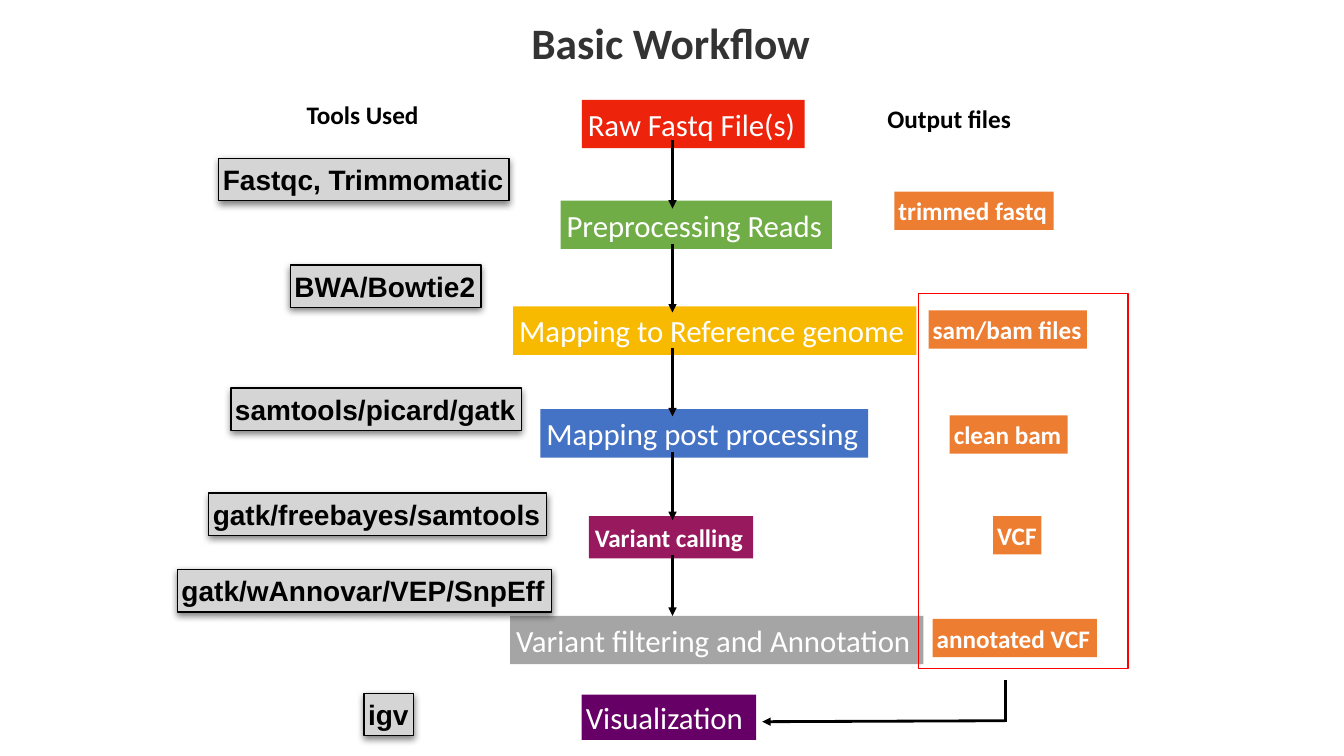
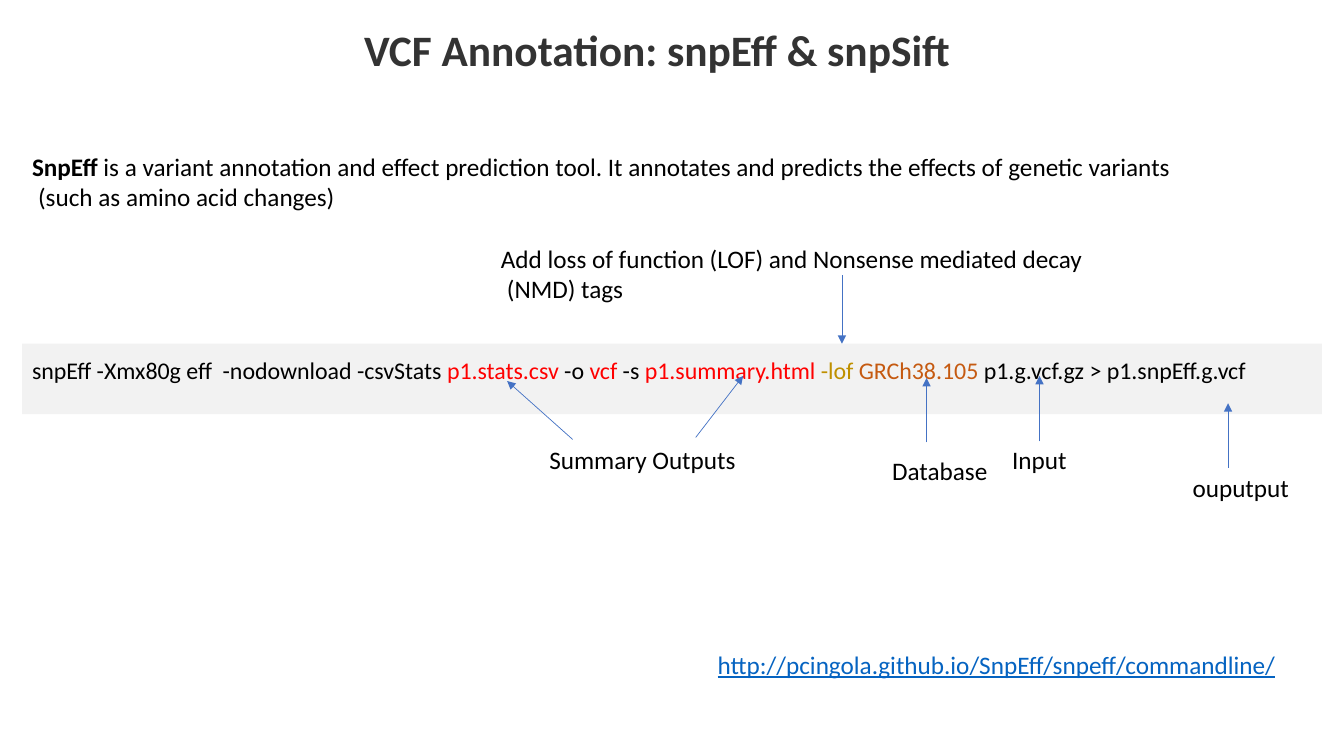
import pptx
import pptx.util
import pptx.dml.color
import pptx.enum.shapes
import pptx.enum.text
import pptx.oxml.ns
import lxml.etree

Rgb = pptx.dml.color.RGBColor
BLACK = Rgb(0x00, 0x00, 0x00)
WHITE = Rgb(0xFF, 0xFF, 0xFF)
DARK = Rgb(0x33, 0x33, 0x33)
SCARLET = Rgb(0xEE, 0x23, 0x0C)
GOLD = Rgb(0xF7, 0xBA, 0x01)
GREEN = Rgb(0x70, 0xAD, 0x47)
BLUE = Rgb(0x44, 0x72, 0xC4)
PLUM = Rgb(0x99, 0x19, 0x5E)
GRAY = Rgb(0xA5, 0xA5, 0xA5)
PURPLE = Rgb(0x66, 0x00, 0x66)
SILVER = Rgb(0xD6, 0xD5, 0xD5)
ORANGE = Rgb(0xED, 0x7D, 0x31)
RED = Rgb(0xFF, 0x00, 0x00)
PALE = Rgb(0xF2, 0xF2, 0xF2)
OLIVE = Rgb(0xBF, 0x90, 0x00)
RUST = Rgb(0xC5, 0x5A, 0x11)
LINK = Rgb(0x05, 0x63, 0xC1)

SCALE = 9144  # EMU in one px, 100 px to the inch
SHAPE = pptx.enum.shapes.MSO_SHAPE.RECTANGLE
LINE = pptx.enum.shapes.MSO_CONNECTOR.STRAIGHT
MIDDLE = pptx.enum.text.MSO_ANCHOR.MIDDLE
TOP = pptx.enum.text.MSO_ANCHOR.TOP
GROW = pptx.enum.text.MSO_AUTO_SIZE.SHAPE_TO_FIT_TEXT
FIXED = pptx.enum.text.MSO_AUTO_SIZE.NONE
LEFT = pptx.enum.text.PP_ALIGN.LEFT


def px(*values):
    return [value * SCALE for value in values]


def add(parent, tag, **values):
    """Append a DrawingML element with the given attributes."""
    child = lxml.etree.SubElement(parent, pptx.oxml.ns.qn("a:" + tag))
    for key, value in values.items():
        child.set(key, str(value))
    return child


class Deck:
    STYLES = {
        "title": dict(size=31, bold=True, color=DARK),
        "step": dict(size=22, color=WHITE),
        "call": dict(size=18, bold=True, color=WHITE),
        "tool": dict(size=20, bold=True, color=BLACK, name="Arial"),
        "head": dict(size=18, bold=True, color=BLACK),
        "note": dict(size=18, color=BLACK),
        "link": dict(size=18, color=LINK, underline=True),
        "code": dict(size=17.1, color=BLACK),
    }

    def __init__(self):
        self.show = pptx.Presentation()
        self.show.slide_width, self.show.slide_height = px(1333, 750)
        self.slide = None

    def page(self, title, box):
        self.slide = self.show.slides.add_slide(self.show.slide_layouts[6])
        self.text(box, title, "title", inset=4, anchor=MIDDLE)

    def style(self, font, kind, **extra):
        values = {"name": "Calibri", **self.STYLES[kind], **extra}
        font.color.rgb = values.pop("color")
        values["size"] = pptx.util.Pt(values["size"])
        for key, value in values.items():
            setattr(font, key, value)

    def fill(self, shape, lines, kind, inset, anchor, wrap=False, grow=True):
        """Put lines in a shape; a line is a string or a list of (text, extra)."""
        frame = shape.text_frame
        side, = px(inset)
        values = dict(margin_left=side, margin_right=side, margin_top=side,
                      margin_bottom=side, vertical_anchor=anchor,
                      word_wrap=wrap, auto_size=GROW if grow else FIXED)
        for key, value in values.items():
            setattr(frame, key, value)
        for row, line in enumerate([lines] if isinstance(lines, str) else lines):
            para = frame.add_paragraph() if row else frame.paragraphs[0]
            para.alignment = LEFT
            for words, extra in [(line, {})] if isinstance(line, str) else line:
                run = para.add_run()
                run.text = words
                self.style(run.font, kind, **extra)
        return frame

    def text(self, box, lines, kind="note", inset=10, anchor=TOP, wrap=False):
        shape = self.slide.shapes.add_textbox(*px(*box))
        frame = self.fill(shape, lines, kind, inset, anchor, wrap)
        if inset == 10:
            frame.margin_top = frame.margin_bottom = 5 * SCALE
        for para in frame.paragraphs[1:]:
            para._p.get_or_add_pPr().set("marL", str(6 * SCALE))

    def block(self, box, fill=None, edge=None):
        shape = self.slide.shapes.add_shape(SHAPE, *px(*box))
        shape.shadow.inherit = False
        if fill is None:
            shape.fill.background()
        else:
            shape.fill.solid()
            shape.fill.fore_color.rgb = fill
        if edge is None:
            shape.line.fill.background()
        else:
            shape.line.color.rgb = edge
            shape.line.width = pptx.util.Pt(1)
        return shape

    def label(self, box, words, fill, kind, inset=4, wrap=False):
        self.fill(self.block(box, fill), words, kind, inset, MIDDLE, wrap)

    def tool(self, box, words):
        """Silver box with a thin edge and a soft shadow below it."""
        shape = self.block(box, SILVER, BLACK)
        self.fill(shape, words, "tool", 4, MIDDLE)
        glow = shape._element.spPr.find(pptx.oxml.ns.qn("a:effectLst"))
        cast = add(glow, "outerShdw", blurRad=63500, dist=25400, dir=5400000,
                   rotWithShape=0)
        add(add(cast, "srgbClr", val="000000"), "alpha", val=50000)

    def line(self, start, end, color=BLACK, width=2, arrow=True):
        link = self.slide.shapes.add_connector(LINE, *px(*start, *end))
        link.line.color.rgb = color
        link.line.width = pptx.util.Pt(width)
        if arrow:
            edge = link._element.spPr.find(pptx.oxml.ns.qn("a:ln"))
            add(edge, "tailEnd", type="triangle")
        add(link._element.spPr, "effectLst")


def flow(deck):
    deck.page("Basic Workflow", (523, 12, 288, 60))
    for box, words, fill, kind in (
        ((577, 99, 221, 48), "Raw Fastq File(s)", SCARLET, "step"),
        ((509, 304, 400, 48), "Mapping to Reference genome", GOLD, "step"),
        ((556, 199, 269, 48), "Preprocessing Reads", GREEN, "step"),
        ((536, 406, 325, 48), "Mapping post processing", BLUE, "step"),
        ((584, 512, 163, 42), "Variant calling", PLUM, "call"),
        ((506, 611, 410, 48), "Variant filtering and Annotation", GRAY, "step"),
    ):
        deck.label(box, words, fill, kind, inset=6)
    for top in range(139, 552, 103):
        deck.line((667, top), (667, min(top + 68, 611)))

    for left, top, width, words in (
        (217, 157, 288, "Fastqc, Trimmomatic"),
        (288, 263, 189, "BWA/Bowtie2"),
        (229, 385, 288, "samtools/picard/gatk"),
        (207, 489, 335, "gatk/freebayes/samtools"),
        (176, 565, 371, "gatk/wAnnovar/VEP/SnpEff"),
        (361, 688, 49, "igv"),
    ):
        deck.tool((left, top, width, 42), words)

    for left, top, width, words in (
        (887, 190, 158, "trimmed fastq"),
        (921, 308, 157, "sam/bam files"),
        (942, 412, 117, "clean bam"),
        (985, 512, 48, "VCF"),
        (925, 614, 163, "annotated VCF"),
    ):
        deck.label((left, top, width, 38), words, ORANGE, "call")

    deck.text((876, 98, 132, 38), "Output files", "head", 4, MIDDLE)
    deck.text((300, 94, 122, 38), "Tools Used", "head", 4, MIDDLE)
    deck.block((911, 291, 208, 372), edge=RED)
    deck.label((577, 689, 173, 45), "Visualization", PURPLE, "step", wrap=True)
    deck.line((997, 715), (756, 716))
    deck.line((997, 716), (997, 675), arrow=False)


def notes(deck):
    deck.page("VCF Annotation: snpEff & snpSift", (357, 19, 619, 60))
    red = dict(color=RED)
    command = [
        ("snpEff -Xmx80g eff  -nodownload -csvStats ", {}),
        ("p1.stats.csv ", red),
        ("-o ", {}),
        ("vcf", red),
        (" -s ", {}),
        ("p1.summary.html ", red),
        ("-lof ", dict(color=OLIVE)),
        ("GRCh38.105 ", dict(color=RUST)),
        ("p1.g.vcf.gz > p1.snpEff.g.vcf", {}),
    ]
    bar = deck.block((22, 341, 1289, 70), PALE)
    frame = deck.fill(bar, [command], "code", 10, TOP, wrap=True, grow=False)
    frame.paragraphs[0].line_spacing = 1.05

    intro = [
        ("SnpEff ", dict(bold=True)),
        ("is a variant annotation and effect prediction tool. "
         "It annotates and predicts the effects of genetic variants", {}),
    ]
    deck.text((22, 145, 1163, 71), [intro, "(such as amino acid changes)"])
    deck.text((487, 236, 604, 71),
              ["Add loss of function (LOF) and Nonsense mediated decay",
               "(NMD) tags"])
    deck.text((535, 436, 213, 40), "Summary Outputs")
    deck.text((875, 447, 116, 40), "Database")
    deck.text((1173, 464, 117, 40), "ouputput")
    deck.text((994, 436, 75, 40), "Input", wrap=True)
    deck.text((702, 639, 581, 40),
              "http://pcingola.github.io/SnpEff/snpeff/commandline/", "link")
    for start, end in (
        ((568, 436), (503, 378)),
        ((690, 434), (737, 373)),
        ((919, 439), (919, 375)),
        ((835, 273), (835, 341)),
        ((1218, 464), (1218, 400)),
        ((1031, 438), (1031, 373)),
    ):
        deck.line(start, end, BLUE, 0.5)


def main():
    deck = Deck()
    flow(deck)
    notes(deck)
    deck.show.save("out.pptx")


if __name__ == "__main__":
    main()
